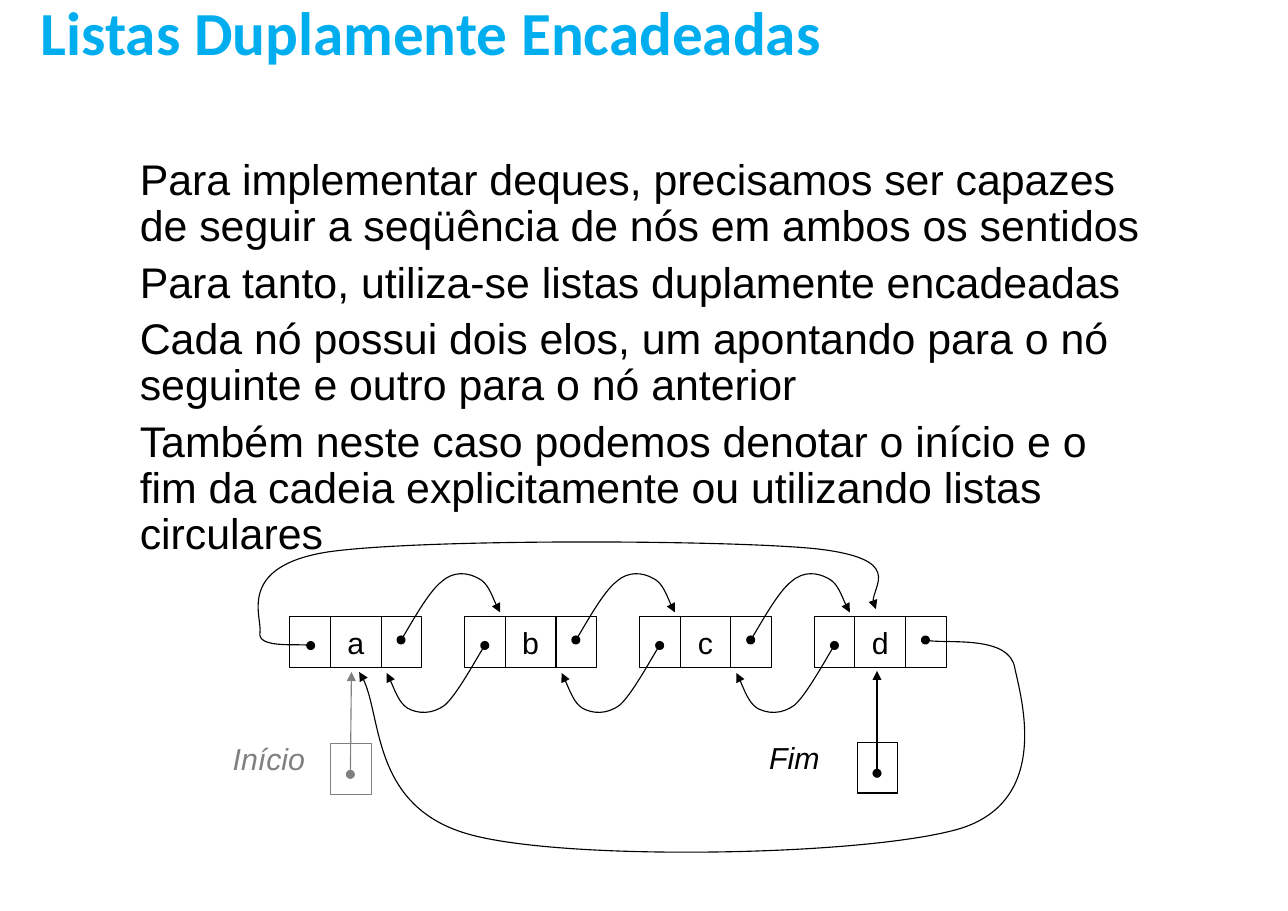
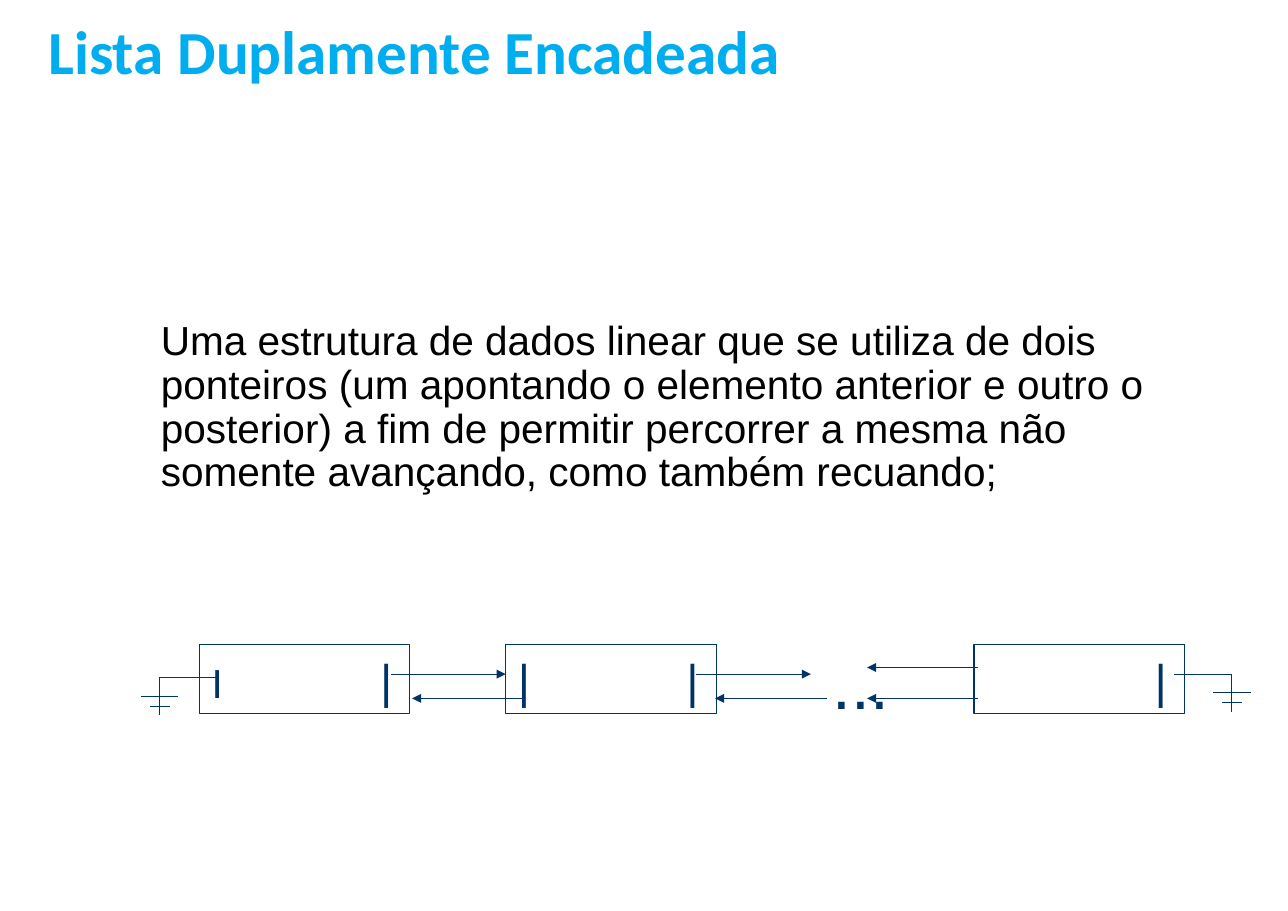
import pptx
import pptx.util
import pptx.dml.color
import pptx.enum.shapes
import pptx.enum.text
import pptx.oxml.ns
import lxml.etree

Inches = pptx.util.Inches
Pt = pptx.util.Pt
qn = pptx.oxml.ns.qn
ANCHOR = pptx.enum.text.MSO_ANCHOR
ALIGN = pptx.enum.text.PP_ALIGN
AUTO_SIZE = pptx.enum.text.MSO_AUTO_SIZE

TITLE_BLUE = pptx.dml.color.RGBColor(0x00, 0xAE, 0xEF)
BLACK = pptx.dml.color.RGBColor(0x00, 0x00, 0x00)
GRAY = pptx.dml.color.RGBColor(0x80, 0x80, 0x80)
NAVY = pptx.dml.color.RGBColor(0x00, 0x33, 0x66)

DEQUE_PARAGRAPHS = [
    "Para implementar deques, precisamos ser capazes de seguir a seqüência de nós em ambos os sentidos",
    "Para tanto, utiliza-se listas duplamente encadeadas",
    "Cada nó possui dois elos, um apontando para o nó seguinte e outro para o nó anterior",
    "Também neste caso podemos denotar o início e o fim da cadeia explicitamente ou utilizando listas circulares",
]
DEFINITION_PARAGRAPHS = [
    "Uma estrutura de dados linear que se utiliza de dois ponteiros (um apontando o elemento anterior "
    "e outro o posterior) a fim de permitir percorrer a mesma não somente avançando, como também recuando;",
]

NODE_LABELS = ["a", "b", "c", "d"]
NODE_LEFT, LAST_NODE_LEFT, NODE_TOP = 2.63, 7.39, 5.6
NODE_STEP = (LAST_NODE_LEFT - NODE_LEFT) / (len(NODE_LABELS) - 1)
LINK_WIDTH, VALUE_WIDTH, CELL_HEIGHT = 0.37, 0.46, 0.46

NEXT_CURVE = [(3.64, 5.81), (3.7, 5.72), (3.89, 5.37), (4.01, 5.28), (4.12, 5.18),
              (4.25, 5.2), (4.34, 5.25), (4.43, 5.29), (4.5, 5.5), (4.54, 5.56)]
PREVIOUS_CURVE = [(4.4, 5.86), (4.34, 5.95), (4.15, 6.3), (4.04, 6.4), (3.92, 6.49),
                  (3.79, 6.48), (3.7, 6.43), (3.62, 6.38), (3.55, 6.18), (3.51, 6.11)]
FIRST_TO_LAST_CURVE = [(2.82, 5.86), (2.74, 5.84), (2.33, 5.88), (2.36, 5.74), (2.38, 5.6),
                       (2.14, 5.14), (2.98, 5.01), (3.82, 4.89), (6.56, 4.9), (7.39, 4.98),
                       (8.22, 5.07), (7.83, 5.41), (7.95, 5.53)]
LAST_TO_FIRST_CURVE = [(8.4, 5.81), (8.54, 5.85), (9.16, 5.77), (9.21, 6.06), (9.27, 6.34),
                       (9.54, 7.26), (8.72, 7.52), (7.89, 7.77), (5.18, 7.82), (4.28, 7.58),
                       (3.37, 7.34), (3.48, 6.41), (3.26, 6.1)]

END_POINTERS = [
    ("Fim", BLACK, (6.87, 6.65, 0.68, 0.45), (7.78, 6.74), (7.96, 7.02), (7.96, 6.09)),
    ("Início", GRAY, (2, 6.66, 0.88, 0.45), (3, 6.75), (3.18, 7.03), (3.19, 6.1)),
]

BOX_TOP, BOX_WIDTH, BOX_HEIGHT, BAR_TAB = 5.85, 1.91, 0.63, 1.53
LINKED_BOXES = [
    (1.81, [("I", 26.5), ("\t|", 30.9)]),
    (4.59, [("|\t|", 30.9)]),
    (8.84, [("\t|", 30.9)]),
]
BOX_ARROWS = [(3.55, 4.59, 6.12), (6.32, 7.36, 6.12), (4.75, 3.74, 6.34),
              (7.51, 6.49, 6.34), (8.88, 7.87, 6.34), (8.88, 7.87, 6.06)]
GROUNDS = [(10.66, 11.18, 6.12), (1.99, 1.45, 6.15)]


def lengths(*values):
    return [Inches(value) for value in values]


def add_run(paragraph, text, size, color, font="Arial", bold=False, italic=False):
    run = paragraph.add_run()
    run.text = text
    run.font.name = font
    run.font.size = Pt(size)
    run.font.bold = bold
    run.font.italic = italic
    run.font.color.rgb = color


def prepare_frame(shape, anchor=ANCHOR.TOP, wrap=True, auto_size=AUTO_SIZE.NONE):
    frame = shape.text_frame
    frame.auto_size = auto_size
    frame.word_wrap = wrap
    frame.vertical_anchor = anchor
    frame.margin_left = frame.margin_right = Inches(0.11)
    frame.margin_top = frame.margin_bottom = Inches(0.06)
    return frame


def add_titled_slide(presentation, title, position, anchor, line_spacing):
    slide = presentation.slides.add_slide(presentation.slide_layouts[5])
    shape = slide.shapes.title
    shape.left, shape.top, shape.width, shape.height = lengths(*position)
    paragraph = prepare_frame(shape, anchor).paragraphs[0]
    paragraph.alignment = ALIGN.LEFT
    paragraph.line_spacing = line_spacing
    add_run(paragraph, title, 40, TITLE_BLUE, "Calibri", bold=True)
    return slide


def add_body(slide, texts, position, size):
    frame = prepare_frame(slide.shapes.add_textbox(*lengths(*position)))
    for index, text in enumerate(texts):
        paragraph = frame.add_paragraph() if index else frame.paragraphs[0]
        paragraph.line_spacing = 0.9
        paragraph.space_before = Pt(6.6)
        add_run(paragraph, text, size, BLACK)


def style_line(shape, color, head=None, tail=None):
    shape.line.color.rgb = color
    shape.line.width = Pt(0.75)
    outline = shape.line._get_or_add_ln()
    for tag, kind in (("a:headEnd", head), ("a:tailEnd", tail)):
        if kind:
            lxml.etree.SubElement(outline, qn(tag)).set("type", kind)


def add_cell(slide, left, top, width, height, color):
    shape = slide.shapes.add_shape(pptx.enum.shapes.MSO_SHAPE.RECTANGLE,
                                   *lengths(left, top, width, height))
    shape.shadow.inherit = False
    shape.fill.background()
    style_line(shape, color)
    return shape


def add_line(slide, start, end, color, head=None, tail=None):
    connector = slide.shapes.add_connector(pptx.enum.shapes.MSO_CONNECTOR.STRAIGHT,
                                           *lengths(*start, *end))
    style_line(connector, color, head, tail)
    lxml.etree.SubElement(connector._element.spPr, qn("a:effectLst"))


def add_curve(slide, points, shift=0):
    points = [(Inches(x + shift), Inches(y)) for x, y in points]
    builder = slide.shapes.build_freeform(*points[0])
    builder.add_line_segments(points[1:], close=False)
    shape = builder.convert_to_shape()
    segments = list(shape._element.iter(qn("a:lnTo")))
    outline = segments[0].getparent()
    for index in range(0, len(segments), 3):
        bezier = lxml.etree.SubElement(outline, qn("a:cubicBezTo"))
        for segment in segments[index:index + 3]:
            bezier.append(segment[0])
            outline.remove(segment)
    shape.shadow.inherit = False
    shape.fill.background()
    style_line(shape, BLACK, "oval", "triangle")


def add_node(slide, left, label):
    value_left = left + LINK_WIDTH
    for link_left in (left, value_left + VALUE_WIDTH):
        add_cell(slide, link_left, NODE_TOP, LINK_WIDTH, CELL_HEIGHT, BLACK)
    value = add_cell(slide, value_left, NODE_TOP, VALUE_WIDTH, CELL_HEIGHT, BLACK)
    paragraph = prepare_frame(value, ANCHOR.MIDDLE, wrap=False).paragraphs[0]
    paragraph.alignment = ALIGN.CENTER
    add_run(paragraph, label, 19.8, BLACK)


def add_end_pointer(slide, label, color, label_position, cell, start, end):
    add_cell(slide, *cell, LINK_WIDTH, CELL_HEIGHT, color)
    add_line(slide, start, end, color, "oval", "triangle")
    box = slide.shapes.add_textbox(*lengths(*label_position))
    paragraph = prepare_frame(box, wrap=False, auto_size=AUTO_SIZE.SHAPE_TO_FIT_TEXT).paragraphs[0]
    paragraph.alignment = ALIGN.CENTER
    add_run(paragraph, label, 19.8, color, italic=True)


def add_linked_box(slide, left, runs):
    box = add_cell(slide, left, BOX_TOP, BOX_WIDTH, BOX_HEIGHT, NAVY)
    paragraph = prepare_frame(box, auto_size=AUTO_SIZE.SHAPE_TO_FIT_TEXT).paragraphs[0]
    paragraph.alignment = ALIGN.LEFT
    paragraph.space_before = Pt(19.3)
    tabs = lxml.etree.SubElement(paragraph._p.get_or_add_pPr(), qn("a:tabLst"))
    lxml.etree.SubElement(tabs, qn("a:tab"), pos=str(Inches(BAR_TAB)), algn="l")
    for text, size in runs:
        add_run(paragraph, text, size, NAVY)


def add_ground(slide, lead_x, x, y):
    add_line(slide, (lead_x, y), (x, y), NAVY)
    add_line(slide, (x, y), (x, y + 0.34), NAVY)
    for drop, half_width in ((0.17, 0.17), (0.26, 0.09)):
        add_line(slide, (x - half_width, y + drop), (x + half_width, y + drop), NAVY)


def build_circular_list(presentation):
    slide = add_titled_slide(presentation, "Listas Duplamente Encadeadas",
                             (0.26, 0.05, 9.37, 0.55), ANCHOR.MIDDLE, 0.9)
    add_body(slide, DEQUE_PARAGRAPHS, (1.16, 1.38, 9.37, 5.97), 28)
    for index, label in enumerate(NODE_LABELS):
        add_node(slide, NODE_LEFT + index * NODE_STEP, label)
    for index in range(len(NODE_LABELS) - 1):
        add_curve(slide, NEXT_CURVE, index * NODE_STEP)
        add_curve(slide, PREVIOUS_CURVE, index * NODE_STEP)
    add_curve(slide, FIRST_TO_LAST_CURVE)
    add_curve(slide, LAST_TO_FIRST_CURVE)
    for pointer in END_POINTERS:
        add_end_pointer(slide, *pointer)


def build_linear_list(presentation):
    slide = add_titled_slide(presentation, "Lista Duplamente Encadeada",
                             (0.33, -0.35, 9.38, 1.2), ANCHOR.BOTTOM, 1.0)
    add_body(slide, DEFINITION_PARAGRAPHS, (1.35, 2.85, 9.27, 2.39), 26.5)
    for left, runs in LINKED_BOXES:
        add_linked_box(slide, left, runs)
    ellipsis = slide.shapes.add_textbox(*lengths(7.45, 5.77, 0.95, 0.86))
    paragraph = prepare_frame(ellipsis, auto_size=AUTO_SIZE.SHAPE_TO_FIT_TEXT).paragraphs[0]
    paragraph.space_before = Pt(27.6)
    add_run(paragraph, "...", 44.1, NAVY)
    for start_x, end_x, y in BOX_ARROWS:
        add_line(slide, (start_x, y), (end_x, y), NAVY, tail="triangle")
    for ground in GROUNDS:
        add_ground(slide, *ground)


def main():
    presentation = pptx.Presentation()
    presentation.slide_width = Inches(11.69)
    presentation.slide_height = Inches(8.27)
    build_circular_list(presentation)
    build_linear_list(presentation)
    presentation.save("out.pptx")


if __name__ == "__main__":
    main()
